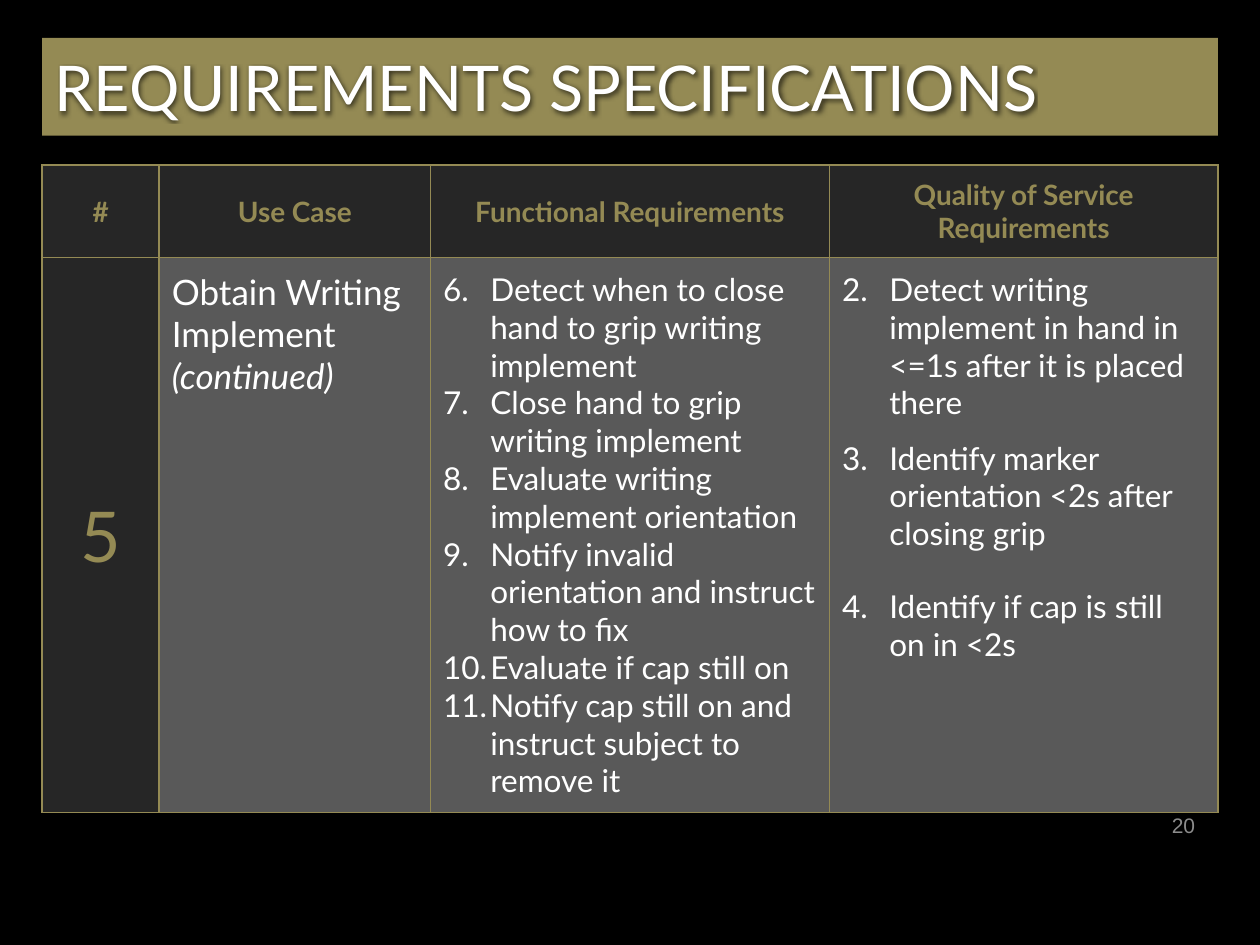
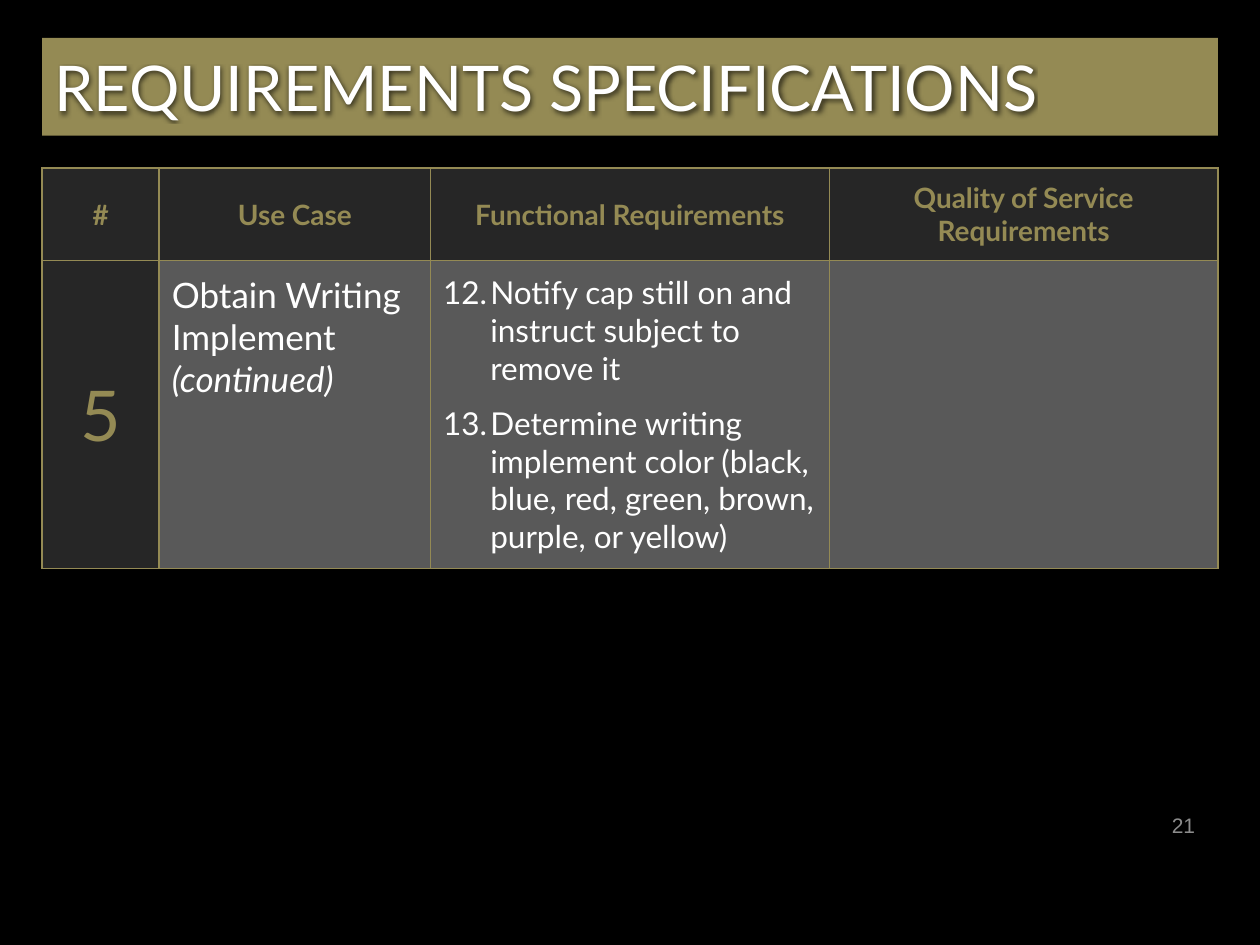
from dataclasses import dataclass

from lxml.etree import SubElement
from pptx import Presentation
from pptx.dml.color import RGBColor
from pptx.enum.shapes import MSO_SHAPE
from pptx.enum.text import MSO_ANCHOR, PP_ALIGN
from pptx.oxml import parse_xml
from pptx.oxml.ns import nsdecls, qn
from pptx.util import Pt


@dataclass(frozen=True)
class Theme:
    black: str = "000000"
    white: str = "FFFFFF"
    gold: str = "948A54"
    dark: str = "262626"
    gray: str = "595959"
    pale: str = "8C8C8C"
    face: str = "Lato"
    plain: str = "Arial"
    title: float = 36
    head: float = 16
    digit: float = 40
    case: float = 20
    item: float = 18
    page: float = 12


@dataclass(frozen=True)
class Line:
    text: str
    size: float
    color: str
    bold: bool = False
    slant: bool = False
    center: bool = False
    start: int = 0
    before: float = 0
    after: float = 0


@dataclass(frozen=True)
class Cell:
    lines: list[Line]
    fill: str
    middle: bool = False


@dataclass(frozen=True)
class Page:
    number: str
    top: float
    height: float
    needs: list[Line]
    goals: list[Line]


THEME = Theme()
LEFT, WIDTH = 24, 672
INSET, INDENT = 7.2, 27
COLUMNS = (67, 155, 228, 222)
HEAD_HEIGHT = 53
HEADS = ("#", "Use Case", "Functional Requirements", "Quality of Service Requirements")


def rgb(code: str) -> RGBColor:
    return RGBColor.from_string(code)


def style(para, size: float, color: str, face: str = THEME.face) -> None:
    para.font.size = Pt(size)
    para.font.name = face
    para.font.color.rgb = rgb(color)


def item(text: str, start: int, before: float = 0, after: float = 0) -> Line:
    return Line(text, THEME.item, THEME.white, start=start, before=before, after=after)


def add_title(slide, text: str) -> None:
    band = slide.shapes.add_shape(MSO_SHAPE.RECTANGLE, Pt(LEFT), Pt(21.6), Pt(WIDTH), Pt(56))
    band.shadow.inherit = False
    band.fill.solid()
    band.fill.fore_color.rgb = rgb(THEME.gold)
    band.line.fill.background()
    frame = band.text_frame
    frame.word_wrap = True
    frame.vertical_anchor = MSO_ANCHOR.MIDDLE
    para = frame.paragraphs[0]
    para.alignment = PP_ALIGN.LEFT
    run = para.add_run()
    run.text = text
    style(para, THEME.title, THEME.white)
    glow = (
        f'<a:effectLst {nsdecls("a")}><a:glow rad="{Pt(3)}"><a:srgbClr val="{THEME.black}">'
        '<a:alpha val="60000"/></a:srgbClr></a:glow></a:effectLst>'
    )
    run._r.get_or_add_rPr().append(parse_xml(glow))


def add_number(slide, number: str) -> None:
    box = slide.shapes.add_textbox(Pt(522), Pt(457.2), Pt(168), Pt(28.8))
    frame = box.text_frame
    frame.word_wrap = True
    frame.vertical_anchor = MSO_ANCHOR.MIDDLE
    para = frame.paragraphs[0]
    para.text = number
    para.alignment = PP_ALIGN.RIGHT
    style(para, THEME.page, THEME.pale, THEME.plain)


def add_line(para, line: Line) -> None:
    para.text = line.text
    para.alignment = PP_ALIGN.CENTER if line.center else PP_ALIGN.LEFT
    para.space_before = Pt(line.before)
    para.space_after = Pt(line.after)
    if line.start:
        props = para._p.get_or_add_pPr()
        props.set("marL", str(Pt(INDENT)))
        props.set("indent", str(Pt(-INDENT)))
        SubElement(props, qn("a:buAutoNum"), type="arabicPeriod", startAt=str(line.start))
    style(para, line.size, line.color)
    para.font.bold = line.bold
    para.font.italic = line.slant


def add_borders(spot) -> None:
    props = spot._tc.get_or_add_tcPr()
    for place, side in enumerate(("lnL", "lnR", "lnT", "lnB")):
        edge = (
            f'<a:{side} {nsdecls("a")} w="{Pt(1)}"><a:solidFill>'
            f'<a:srgbClr val="{THEME.gold}"/></a:solidFill></a:{side}>'
        )
        props.insert(place, parse_xml(edge))


def fill_cell(spot, cell: Cell) -> None:
    spot.margin_left = spot.margin_right = Pt(INSET)
    spot.margin_top = spot.margin_bottom = Pt(INSET)
    spot.vertical_anchor = MSO_ANCHOR.MIDDLE if cell.middle else MSO_ANCHOR.TOP
    spot.fill.solid()
    spot.fill.fore_color.rgb = rgb(cell.fill)
    frame = spot.text_frame
    for place, line in enumerate(cell.lines):
        add_line(frame.add_paragraph() if place else frame.paragraphs[0], line)
    add_borders(spot)


def add_grid(slide, page: Page) -> None:
    heads = [
        Cell([Line(text, THEME.head, THEME.gold, bold=True, center=True)], THEME.dark, True)
        for text in HEADS
    ]
    case = [
        Line("Obtain Writing Implement", THEME.case, THEME.white),
        Line("(continued)", THEME.case, THEME.white, slant=True),
    ]
    body = [
        Cell([Line("5", THEME.digit, THEME.gold, center=True)], THEME.dark, True),
        *(Cell(lines, THEME.gray) for lines in (case, page.needs, page.goals)),
    ]
    rows = (heads, body)
    heights = (HEAD_HEIGHT, page.height)
    table = slide.shapes.add_table(
        len(rows), len(COLUMNS), Pt(LEFT), Pt(page.top), Pt(WIDTH), Pt(sum(heights))
    ).table
    for column, width in zip(table.columns, COLUMNS):
        column.width = Pt(width)
    for row, height, cells in zip(table.rows, heights, rows):
        row.height = Pt(height)
        for spot, cell in zip(row.cells, cells):
            fill_cell(spot, cell)


PAGES = (
    Page(
        "20", 94.3, 317,
        [
            item(text, 6)
            for text in (
                "Detect when to close hand to grip writing implement",
                "Close hand to grip writing implement",
                "Evaluate writing implement orientation",
                "Notify invalid orientation and instruct how to fix",
                "Evaluate if cap still on",
                "Notify cap still on and instruct subject to remove it",
            )
        ],
        [
            item("Detect writing implement in hand in <=1s after it is placed there", 2, 10),
            item("Identify marker orientation <2s after closing grip", 2, 10, 10),
            item("Identify if cap is still on in <2s", 2, 10, 10),
        ],
    ),
    Page(
        "21", 96, 176,
        [
            item(text, 12, after=10)
            for text in (
                "Notify cap still on and instruct subject to remove it",
                "Determine writing implement color "
                "(black, blue, red, green, brown, purple, or yellow)",
            )
        ],
        [],
    ),
)


def main() -> None:
    deck = Presentation()
    deck.slide_width, deck.slide_height = Pt(720), Pt(540)
    ground = deck.slide_master.background.fill
    ground.solid()
    ground.fore_color.rgb = rgb(THEME.black)
    for page in PAGES:
        slide = deck.slides.add_slide(deck.slide_layouts[6])
        add_title(slide, "REQUIREMENTS SPECIFICATIONS")
        add_number(slide, page.number)
        add_grid(slide, page)
    deck.save("out.pptx")


if __name__ == "__main__":
    main()
